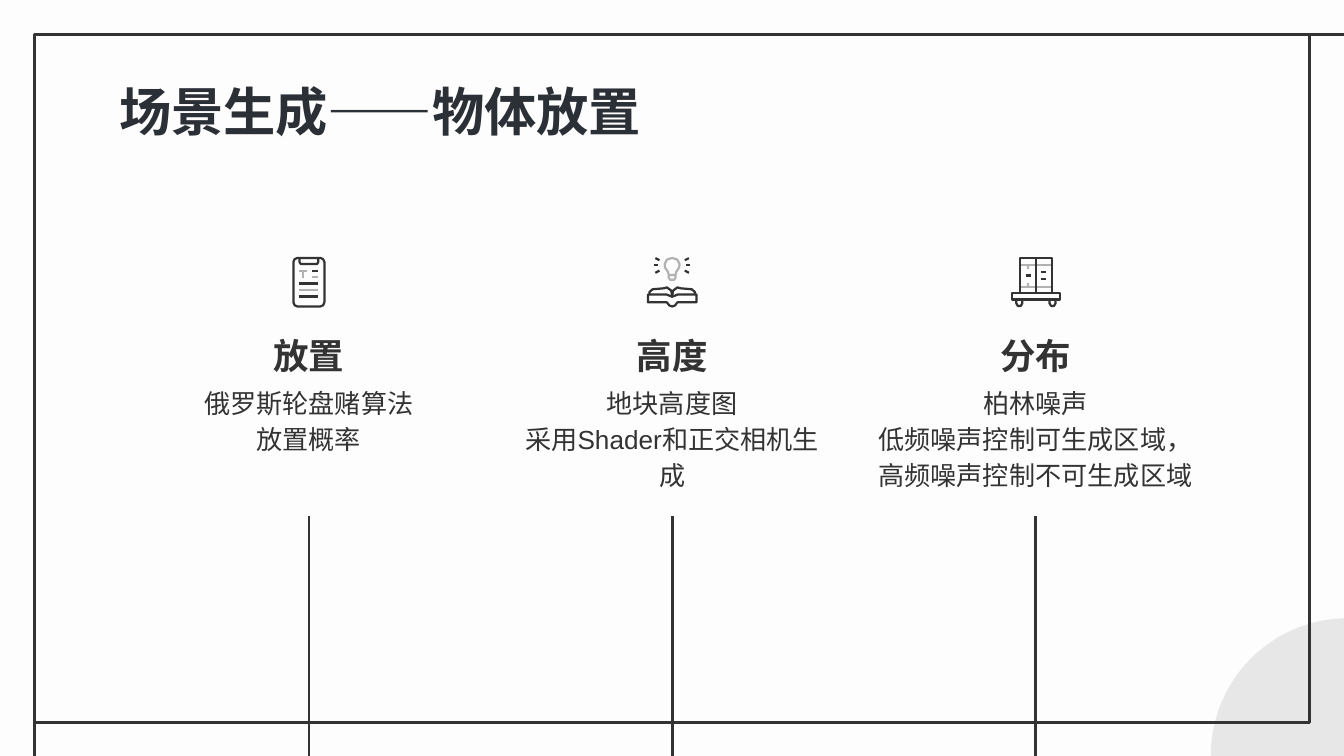
import pptx
import pptx.dml.color
import pptx.enum.shapes
import pptx.enum.text
import pptx.oxml
import pptx.util

Pt = pptx.util.Pt
RGB = pptx.dml.color.RGBColor
SHAPE = pptx.enum.shapes.MSO_SHAPE
ALIGN = pptx.enum.text.PP_ALIGN
ANCHOR = pptx.enum.text.MSO_ANCHOR

PAPER = RGB(0xFD, 0xFD, 0xFD)
INK = RGB(0x33, 0x33, 0x33)
TITLE = RGB(0x2B, 0x2F, 0x36)
GREY = RGB(0xB2, 0xB2, 0xB2)
DISC = RGB(0xE8, 0xE7, 0xE7)

prs = pptx.Presentation()
prs.slide_width, prs.slide_height = Pt(720), Pt(405)
s = prs.slides.add_slide(prs.slide_layouts[6])
s.background.fill.solid()
s.background.fill.fore_color.rgb = PAPER


def add_text(box, lines, font, size, color=INK, bold=False,
             align=ALIGN.CENTER, spacing=1.15, anchor=ANCHOR.TOP):
    tf = s.shapes.add_textbox(*map(Pt, box)).text_frame
    tf.word_wrap = True
    tf.vertical_anchor = anchor
    tf.margin_left = tf.margin_right = tf.margin_top = tf.margin_bottom = Pt(7.2)
    for i, line in enumerate(lines):
        p = tf.add_paragraph() if i else tf.paragraphs[0]
        p.text = line
        p.alignment, p.line_spacing = align, spacing
        p.font.name, p.font.size, p.font.bold = font, Pt(size), bold
        p.font.color.rgb = color


def add_line(x1, y1, x2, y2):
    c = s.shapes.add_connector(pptx.enum.shapes.MSO_CONNECTOR.STRAIGHT,
                               Pt(x1), Pt(y1), Pt(x2), Pt(y2))
    c.line.color.rgb, c.line.width = INK, Pt(1.5)
    c._element.spPr.append(pptx.oxml.parse_xml(
        '<a:effectLst xmlns:a="http://schemas.openxmlformats.org/drawingml/2006/main"/>'))


# Background disc and frame
disc = s.shapes.add_shape(SHAPE.OVAL, Pt(648.7), Pt(331.2), Pt(146.9), Pt(146.9))
disc.shadow.inherit = False
disc.fill.solid()
disc.fill.fore_color.rgb = DISC
disc.line.fill.background()

frame = s.shapes.add_shape(SHAPE.RECTANGLE, Pt(18.3), Pt(18.3), Pt(683.3), Pt(368.8))
frame.shadow.inherit = False
frame.fill.background()
frame.line.color.rgb, frame.line.width = INK, Pt(1.5)
add_line(726, 18.3, 702, 18.3)
add_line(18.6, 387, 18.6, 412)

add_text((56.7, 35.3, 607, 45.4), ["场景生成——物体放置"], "Lato", 28,
         TITLE, True, ALIGN.LEFT, 1)

# Icons: (colour, strokes) with points in tenths of a point from the top centre;
# a stroke that ends where it starts is closed.
phone = [
    (INK, [[(-61, 7), (61, 7), (76, 13), (83, 29), (83, 245), (76, 261), (61, 267),
            (-61, 267), (-76, 261), (-83, 245), (-83, 29), (-76, 13), (-61, 7)],
           [(-50, 7), (-50, 30), (-43, 40), (43, 40), (50, 30), (50, 7)]]),
    (GREY, [[(-54, 77), (-10, 77)], [(-32, 77), (-32, 115)]]),
    (INK, [[(18, 77), (48, 77)]]),
    (GREY, [[(18, 110), (48, 110)]]),
] + [(c, [[(-54, y), (50, y)]]) for c, y in ((INK, 144), (GREY, 179), (INK, 214))]

book = [
    (INK, [[(0, 213), (-5, 182), (-28, 165), (-45, 170), (-105, 175), (-122, 190),
            (-122, 203)],
           [(0, 213), (5, 182), (28, 165), (45, 170), (105, 175), (122, 190),
            (122, 203)],
           [(-130, 203), (-30, 203), (0, 215), (30, 203), (130, 203), (130, 245),
            (28, 245), (15, 262), (0, 267), (-15, 262), (-28, 245), (-130, 245),
            (-130, 203)]]),
    (GREY, [[(-18, 98), (-22, 82), (-38, 58), (-40, 40), (-28, 16), (0, 7), (28, 16),
             (40, 40), (38, 58), (22, 82), (18, 98), (-18, 98), (-18, 114), (-10, 124),
             (10, 124), (18, 114), (18, 98)]]),
] + [(INK, [[(side * x1, y1), (side * x2, y2)]]) for side in (1, -1)
     for x1, y1, x2, y2 in ((75, 45, 98, 45), (68, 19, 90, 8), (68, 75, 90, 87))]

cart = [
    (GREY, [[(-83, 43), (85, 43)], [(-40, 43), (-40, 65)]]),
    (GREY, [[(-83, 161), (85, 161)], [(-40, 161), (-40, 139)]]),
    (INK, [[(-83, 7), (89, 7), (89, 194), (-83, 194), (-83, 7)],
           [(3, 7), (3, 194)],
           [(-126, 194), (132, 194), (132, 230), (-126, 230), (-126, 194)]]
     + [[(x - 16, 230), (x - 16, 250), (x - 8, 264), (x + 8, 264), (x + 16, 250),
         (x + 16, 230)] for x in (-86, 92)]),
] + [(INK, [[(x, y), (x + 26, y)]]) for x, y in ((-52, 101), (32, 119), (32, 83))]

columns = [
    (phone, "放置", ["俄罗斯轮盘赌算法", "放置概率"], 176.6),
    (book, "高度", ["地块高度图", "采用Shader和正交相机生成"], 176.6),
    (cart, "分布", ["柏林噪声", "低频噪声控制可生成区域，高频噪声控制不可生成区域"], 186.6),
]
for i, (icon, heading, lines, width) in enumerate(columns):
    cx = 165.5 + 194.6 * i
    add_text((cx - width / 2, 198, width, 78.5), lines, "Arial", 14)
    add_text((cx - 88.3, 180, 176.6, 28.8), [heading], "Roboto", 19,
             bold=True, anchor=ANCHOR.BOTTOM)
    for color, strokes in icon:
        fb = s.shapes.build_freeform(*strokes[0][0], scale=Pt(0.1))
        for n, stroke in enumerate(strokes):
            if n:
                fb.move_to(*stroke[0])
            fb.add_line_segments(stroke[1:], close=stroke[0] == stroke[-1])
        sp = fb.convert_to_shape(Pt(cx), Pt(137.5))
        sp.shadow.inherit = False
        sp.fill.background()
        sp.line.color.rgb, sp.line.width = color, Pt(1.2)
    add_line(cx, 276.5, cx, 409.7)

prs.save("out.pptx")
